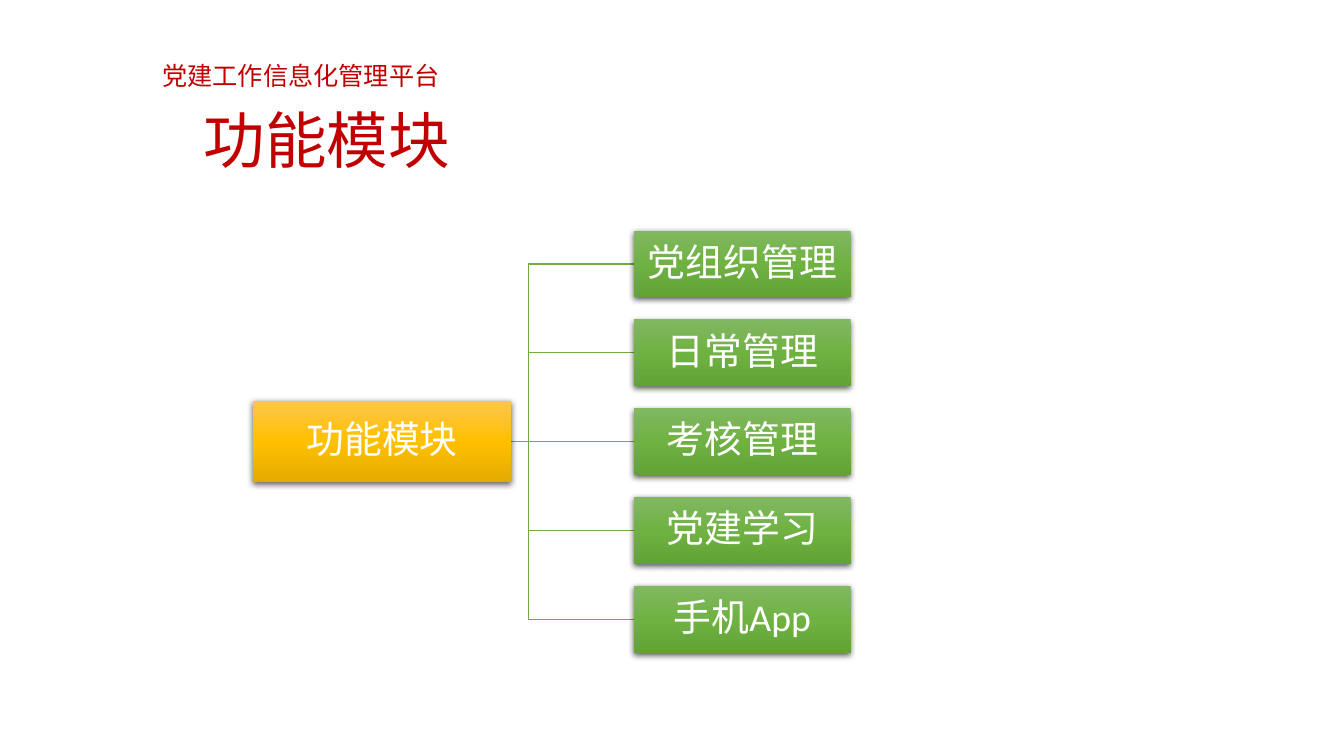
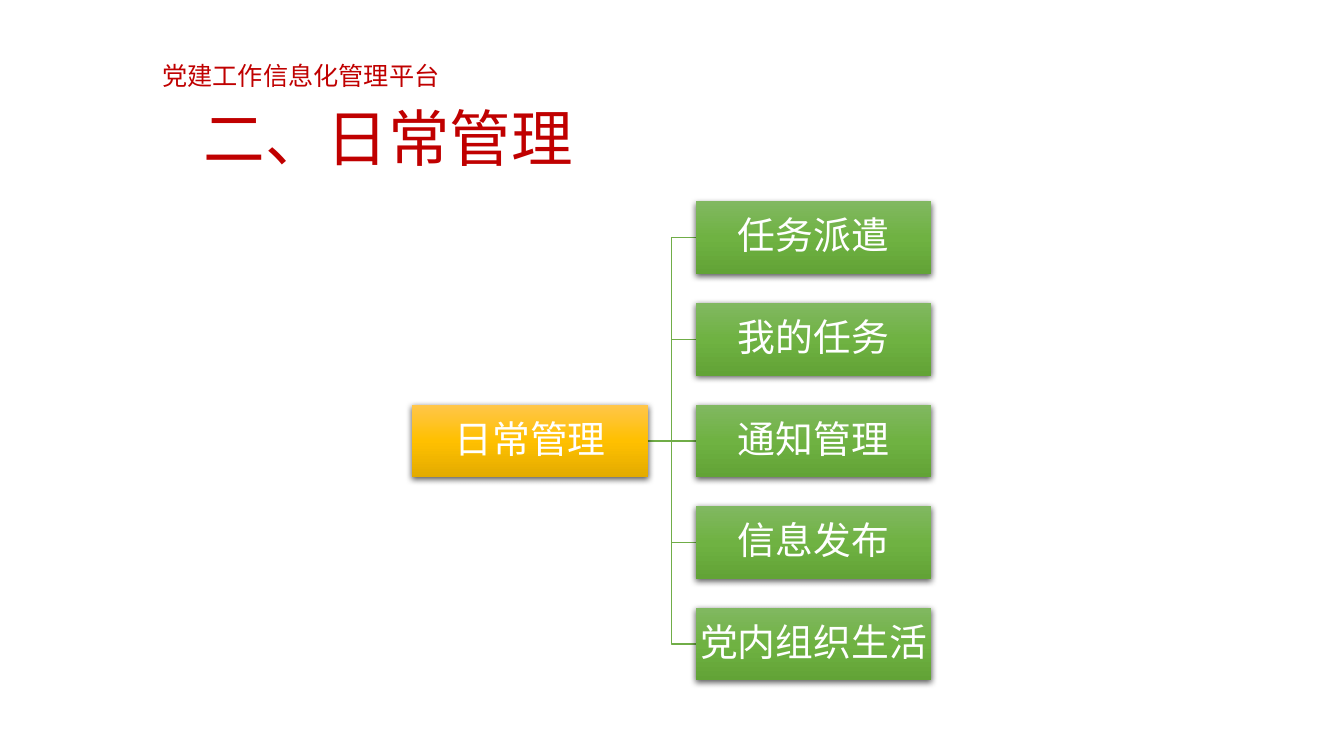
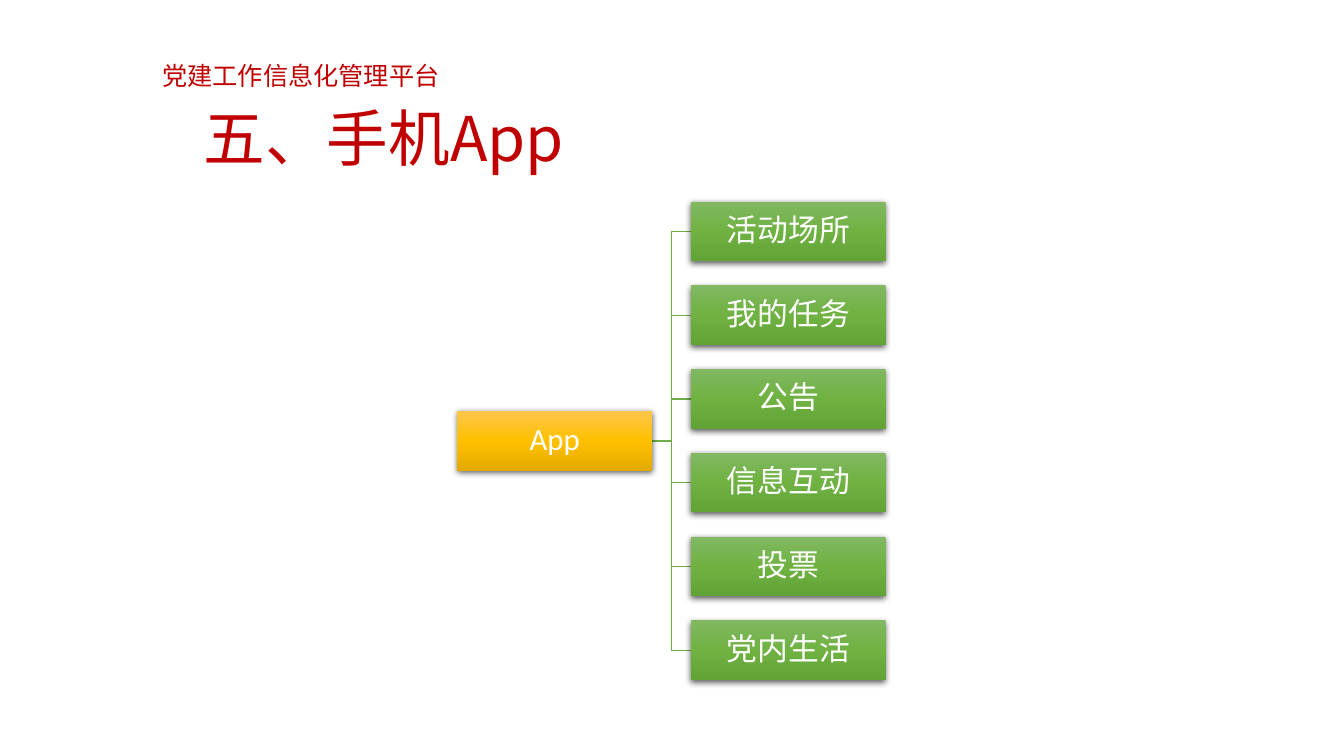
from copy import deepcopy

from lxml import etree
from pptx import Presentation
from pptx.dml.color import RGBColor
from pptx.enum.shapes import MSO_CONNECTOR, MSO_SHAPE
from pptx.enum.text import MSO_ANCHOR, MSO_AUTO_SIZE, PP_ALIGN
from pptx.oxml.ns import qn
from pptx.util import Cm, Pt

RECTANGLE = MSO_SHAPE.RECTANGLE
STRAIGHT = MSO_CONNECTOR.STRAIGHT
MIDDLE = MSO_ANCHOR.MIDDLE
CENTER = PP_ALIGN.CENTER
FIT_SHAPE = MSO_AUTO_SIZE.SHAPE_TO_FIT_TEXT

COLORS = {"red": "C00000", "white": "FFFFFF", "green": "70AD47", "black": "000000"}
GRADIENTS = {
    "gold": ["FFC64B", "FFC000", "E3AB00"],
    "green": ["81B861", "6FB242", "62A336"],
}
CJK_FONT = "Noto Sans CJK SC"
LATIN_FONT = "Calibri"
PLATFORM = "党建工作信息化管理平台"

# Lengths in centimetres; root and modules give left, width and height.
SLIDES = [
    {
        "title": "功能模块", "title_top": 2.57, "title_height": 2.11,
        "root_text": "功能模块", "root": (6.38, 6.5, 2.06),
        "module_texts": ["党组织管理", "日常管理", "考核管理", "党建学习", "手机App"],
        "modules": (15.98, 5.46, 1.68),
        "pitch": 2.24, "center": 11.13, "branch_start": 10.67, "size": 27,
    },
    {
        "title": "二、日常管理", "title_top": 2.44, "title_height": 2.26,
        "root_text": "日常管理", "root": (10.39, 5.94, 1.83),
        "module_texts": ["任务派遣", "我的任务", "通知管理", "信息发布", "党内组织生活"],
        "modules": (17.53, 5.94, 1.83),
        "pitch": 2.56, "center": 11.11, "branch_start": 16.33, "size": 27,
    },
    {
        "title": "五、手机App", "title_top": 2.44, "title_height": 2.26,
        "root_text": "App", "root": (11.53, 4.9, 1.5),
        "module_texts": ["活动场所", "我的任务", "公告", "信息互动", "投票", "党内生活"],
        "modules": (17.42, 4.9, 1.5),
        "pitch": 2.11, "center": 11.11, "branch_start": 16.43, "size": 22,
    },
]


def write_text(frame, text, size, color, latin):
    """Put one formatted paragraph in a frame and return the paragraph."""
    paragraph = frame.paragraphs[0]
    paragraph.text = text
    font = paragraph.runs[0].font
    font.size = Pt(size)
    font.name = latin
    font.color.rgb = RGBColor.from_string(COLORS[color])
    etree.SubElement(font._element, qn("a:ea"), typeface=CJK_FONT)
    return paragraph


def add_node(slide, text, geometry, center, gradient, size):
    """Add a shaded box whose middle lies at the given height."""
    left, width, height = geometry
    node = slide.shapes.add_shape(
        RECTANGLE, Cm(left), Cm(center - height / 2), Cm(width), Cm(height))
    node.line.fill.background()
    node.fill.gradient()
    node.fill.gradient_angle = 270
    properties = node._element.spPr
    stops = properties.find(".//" + qn("a:gsLst"))
    stops.insert(1, deepcopy(stops[0]))
    for stop, position, color in zip(
            node.fill.gradient_stops, (0, 0.5, 1), GRADIENTS[gradient]):
        stop.position = position
        stop.color.rgb = RGBColor.from_string(color)

    node.shadow.inherit = False
    shadow = etree.SubElement(
        properties.find(qn("a:effectLst")), qn("a:outerShdw"),
        blurRad=str(Pt(4.5)), dist=str(Pt(1.5)), dir="5400000",
        algn="ctr", rotWithShape="0")
    shade = etree.SubElement(shadow, qn("a:srgbClr"), val=COLORS["black"])
    etree.SubElement(shade, qn("a:alpha"), val="63000")

    frame = node.text_frame
    frame.word_wrap = True
    frame.vertical_anchor = MIDDLE
    frame.margin_left = frame.margin_right = Cm(0.05)
    frame.margin_top = frame.margin_bottom = Cm(0.05)
    label = write_text(frame, text, size, "white", LATIN_FONT)
    label.alignment = CENTER
    label.line_spacing = 0.9


prs = Presentation()
prs.slide_width = Cm(33.87)
prs.slide_height = Cm(19.05)
blank = prs.slide_layouts[6]

for content in SLIDES:
    slide = prs.slides.add_slide(blank)

    title = slide.shapes.add_textbox(
        Cm(2.34), Cm(content["title_top"]), Cm(29.21), Cm(content["title_height"]))
    title.text_frame.word_wrap = True
    title.text_frame.vertical_anchor = MIDDLE
    heading = write_text(title.text_frame, content["title"], 44, "red", CJK_FONT)
    heading.line_spacing = 0.9
    heading._p.get_or_add_pPr().set("marL", str(Cm(2.54)))

    center = content["center"]
    module_left = content["modules"][0]
    module_count = len(content["module_texts"])
    module_centers = [
        center + (index - (module_count - 1) / 2) * content["pitch"]
        for index in range(module_count)]

    start_x, end_x = Cm(content["branch_start"]), Cm(module_left)
    bend_x = (start_x + end_x) // 2
    start_y = Cm(center)
    for module_center in module_centers:
        end_y = Cm(module_center)
        if end_y == start_y:
            branch = slide.shapes.add_connector(STRAIGHT, start_x, start_y, end_x, end_y)
            etree.SubElement(branch._element.spPr, qn("a:effectLst"))
        else:
            outline = slide.shapes.build_freeform(start_x, start_y)
            outline.add_line_segments(
                [(bend_x, start_y), (bend_x, end_y), (end_x, end_y)], close=False)
            branch = outline.convert_to_shape()
            branch.fill.background()
            branch.shadow.inherit = False
        branch.line.color.rgb = RGBColor.from_string(COLORS["green"])
        branch.line.width = Pt(1)

    add_node(slide, content["root_text"], content["root"], center, "gold", content["size"])
    for text, module_center in zip(content["module_texts"], module_centers):
        add_node(slide, text, content["modules"], module_center, "green", content["size"])

    platform = slide.shapes.add_textbox(Cm(3.84), Cm(1.4), Cm(7.57), Cm(1.02))
    platform.text_frame.word_wrap = False
    platform.text_frame.auto_size = FIT_SHAPE
    write_text(platform.text_frame, PLATFORM, 18, "red", CJK_FONT)

prs.save("out.pptx")
